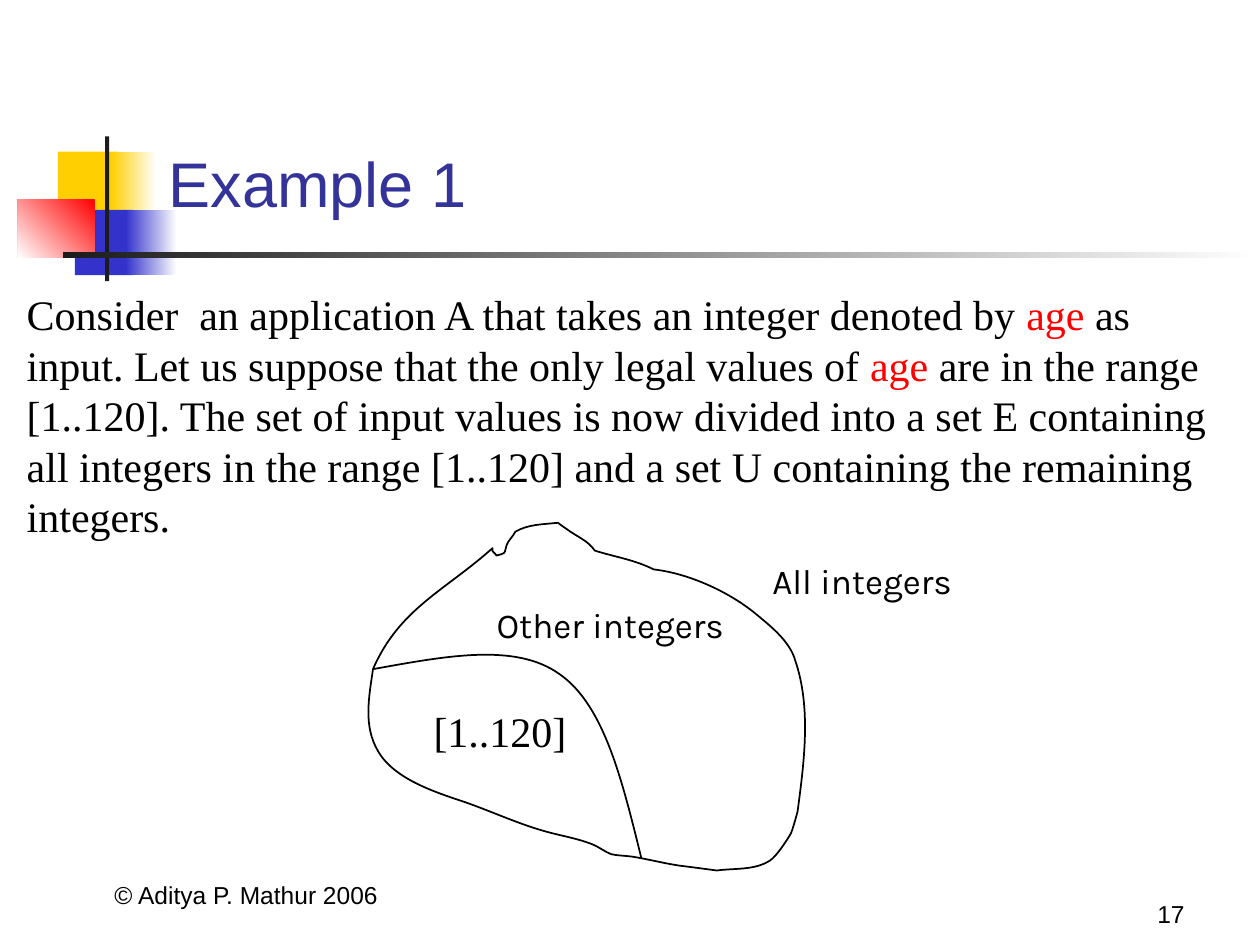
from dataclasses import dataclass

from pptx import Presentation
from pptx import util as u
from pptx.dml import color
from pptx.enum import shapes, text
from pptx.oxml import ns


@dataclass(frozen=True)
class Theme:
    black: str = "000000"
    white: str = "FFFFFF"
    charcoal: str = "1C1C1C"
    yellow: str = "FFCF01"
    blue: str = "3333CC"
    red: str = "FF0000"
    title: str = "333399"
    sans: str = "Arial"
    serif: str = "Times New Roman"
    label: str = "Karla"
    title_size: int = 36
    body_size: int = 24
    label_size: int = 20
    footer_size: int = 14


THEME = Theme()

BODY = (
    ("Consider  an application A that takes an integer denoted by ", THEME.black),
    ("age", THEME.red),
    (" as input. Let us suppose that the only legal values of ", THEME.black),
    ("age", THEME.red),
    (" are in the range [1..120]. The set of input values is now divided into "
     "a set E containing all integers in the range [1..120] and a set U "
     "containing the remaining integers.", THEME.black),
)

REGION_START = (9.93, 11.05)
REGION_CURVES = (
    (8.97, 11.91, 8.05, 12.27, 7.52, 13.49),
    (7.44, 14.05, 7.32, 14.63, 7.62, 15.14),
    (7.95, 15.72, 8.81, 15.98, 9.4, 16.18),
    (9.91, 16.36, 10.41, 16.59, 10.92, 16.74),
    (11.25, 16.84, 11.61, 16.89, 11.94, 17.02),
    (12.07, 17.07, 12.19, 17.17, 12.32, 17.22),
    (12.45, 17.25, 12.6, 17.25, 12.75, 17.27),
    (13.06, 17.32, 13.36, 17.4, 13.69, 17.45),
    (13.94, 17.48, 14.45, 17.55, 14.45, 17.55),
    (14.81, 17.5, 15.21, 17.55, 15.52, 17.35),
    (15.65, 17.27, 15.88, 16.92, 15.95, 16.79),
    (16, 16.66, 16.08, 16.36, 16.08, 16.36),
    (16.21, 15.37, 16.36, 14.27, 16.03, 13.31),
    (15.93, 12.95, 15.57, 12.65, 15.29, 12.42),
    (14.73, 11.94, 13.89, 11.56, 13.18, 11.48),
    (12.78, 11.28, 12.4, 11.23, 11.99, 11.1),
    (11.86, 10.9, 11.63, 10.82, 11.43, 10.67),
    (11.35, 10.62, 11.25, 10.54, 11.25, 10.54),
    (10.95, 10.57, 10.64, 10.57, 10.39, 10.72),
    (10.34, 10.82, 10.24, 10.9, 10.21, 11),
    (10.19, 11.05, 10.19, 11.13, 10.16, 11.15),
    (10.13, 11.18, 10.06, 11.18, 10.01, 11.2),
    (9.91, 11.07, 9.93, 11.15, 9.93, 11.05),
)
DIVIDER_START = (7.52, 13.49)
DIVIDER_CURVES = (
    (8.97, 13.23, 10.39, 12.95, 11.28, 13.59),
    (12.19, 14.22, 12.55, 15.77, 12.93, 17.3),
)


def rgb(value):
    return color.RGBColor.from_string(value)


def style_span(span, font, size, tint):
    span.font.name = font
    span.font.size = u.Pt(size)
    span.font.color.rgb = rgb(tint)


def add_block(page, frame, tint, fade_to=None, angle=180):
    block = page.shapes.add_shape(
        shapes.MSO_SHAPE.RECTANGLE, *(u.Cm(value) for value in frame))
    block.shadow.inherit = False
    block.line.fill.background()
    if fade_to is None:
        block.fill.solid()
        block.fill.fore_color.rgb = rgb(tint)
    else:
        block.fill.gradient()
        block.fill.gradient_angle = angle
        for stop, value in zip(block.fill.gradient_stops, (tint, fade_to)):
            stop.color.rgb = rgb(value)


def add_text(page, frame, spans, font, size, wrap=True,
             align=text.PP_ALIGN.LEFT, anchor=text.MSO_ANCHOR.TOP):
    box = page.shapes.add_textbox(*(u.Cm(value) for value in frame))
    box.text_frame.word_wrap = wrap
    box.text_frame.vertical_anchor = anchor
    para = box.text_frame.paragraphs[0]
    para.alignment = align
    for words, tint in spans:
        span = para.add_run()
        span.text = words
        style_span(span, font, size, tint)


def add_title(page, words):
    title = page.shapes.title
    title.left, title.top = u.Cm(3.15), u.Cm(2.77)
    title.width, title.height = u.Cm(21.64), u.Cm(1.8)
    frame = title.text_frame
    frame.text = words
    frame.auto_size = text.MSO_AUTO_SIZE.NONE
    frame.vertical_anchor = text.MSO_ANCHOR.BOTTOM
    para = frame.paragraphs[0]
    para.alignment = text.PP_ALIGN.LEFT
    style_span(para.runs[0], THEME.sans, THEME.title_size, THEME.title)


def bend_segments(outline):
    segments = list(outline._element.iter(ns.qn("a:lnTo")))
    for first, second, third in zip(*[iter(segments)] * 3):
        first.tag = ns.qn("a:cubicBezTo")
        for segment in (second, third):
            first.append(segment[0])
            segment.getparent().remove(segment)


def add_curve(page, start, curves, close):
    builder = page.shapes.build_freeform(*(u.Cm(value) for value in start))
    points = [(u.Cm(x), u.Cm(y)) for curve in curves
              for x, y in zip(curve[::2], curve[1::2])]
    builder.add_line_segments(points, close=close)
    outline = builder.convert_to_shape()
    bend_segments(outline)
    outline.shadow.inherit = False
    outline.fill.background()
    outline.line.color.rgb = rgb(THEME.black)
    outline.line.width = u.Pt(1)


def add_decoration(page):
    add_block(page, (1.17, 3.06, 1.22, 1.32), THEME.yellow)
    add_block(page, (2.24, 3.06, 0.91, 1.32), THEME.white, THEME.yellow)
    add_block(page, (1.51, 4.23, 1.17, 1.32), THEME.blue)
    add_block(page, (2.54, 4.23, 1.02, 1.32), THEME.white, THEME.blue)
    add_block(page, (0.36, 4.02, 1.55, 1.17), THEME.red, THEME.white, 225)
    add_block(page, (2.12, 2.75, 0.08, 2.92), THEME.charcoal)
    add_block(page, (1.27, 5.08, 24.13, 0.13), THEME.white, THEME.charcoal)


def add_footer(page, frame, words, align):
    add_text(page, frame, [(words, THEME.black)], THEME.sans,
             THEME.footer_size, align=align, anchor=text.MSO_ANCHOR.BOTTOM)


def add_label(page, frame, words, font, size):
    add_text(page, frame, [(words, THEME.black)], font, size, wrap=False)


def main():
    deck = Presentation()
    deck.slide_width, deck.slide_height = u.Cm(25.4), u.Cm(19.05)
    page = deck.slides.add_slide(deck.slide_layouts.get_by_name("Title Only"))
    add_decoration(page)
    add_footer(page, (0.94, 17.19, 8.05, 1.27), "© Aditya P. Mathur 2006",
               text.PP_ALIGN.CENTER)
    add_footer(page, (18.85, 17.58, 5.28, 1.27), "17", text.PP_ALIGN.RIGHT)
    add_title(page, "Example 1")
    add_text(page, (0.29, 5.7, 24.49, 5.33), BODY, THEME.serif, THEME.body_size)
    add_curve(page, REGION_START, REGION_CURVES, close=True)
    add_label(page, (15.32, 11.16, 4.24, 1.12), "All integers",
              THEME.label, THEME.label_size)
    add_curve(page, DIVIDER_START, DIVIDER_CURVES, close=False)
    add_label(page, (8.49, 14.1, 3.18, 1.27), "[1..120]",
              THEME.serif, THEME.body_size)
    add_label(page, (9.76, 12.05, 5.36, 1.12), "Other integers",
              THEME.label, THEME.label_size)
    deck.save("out.pptx")


if __name__ == "__main__":
    main()
